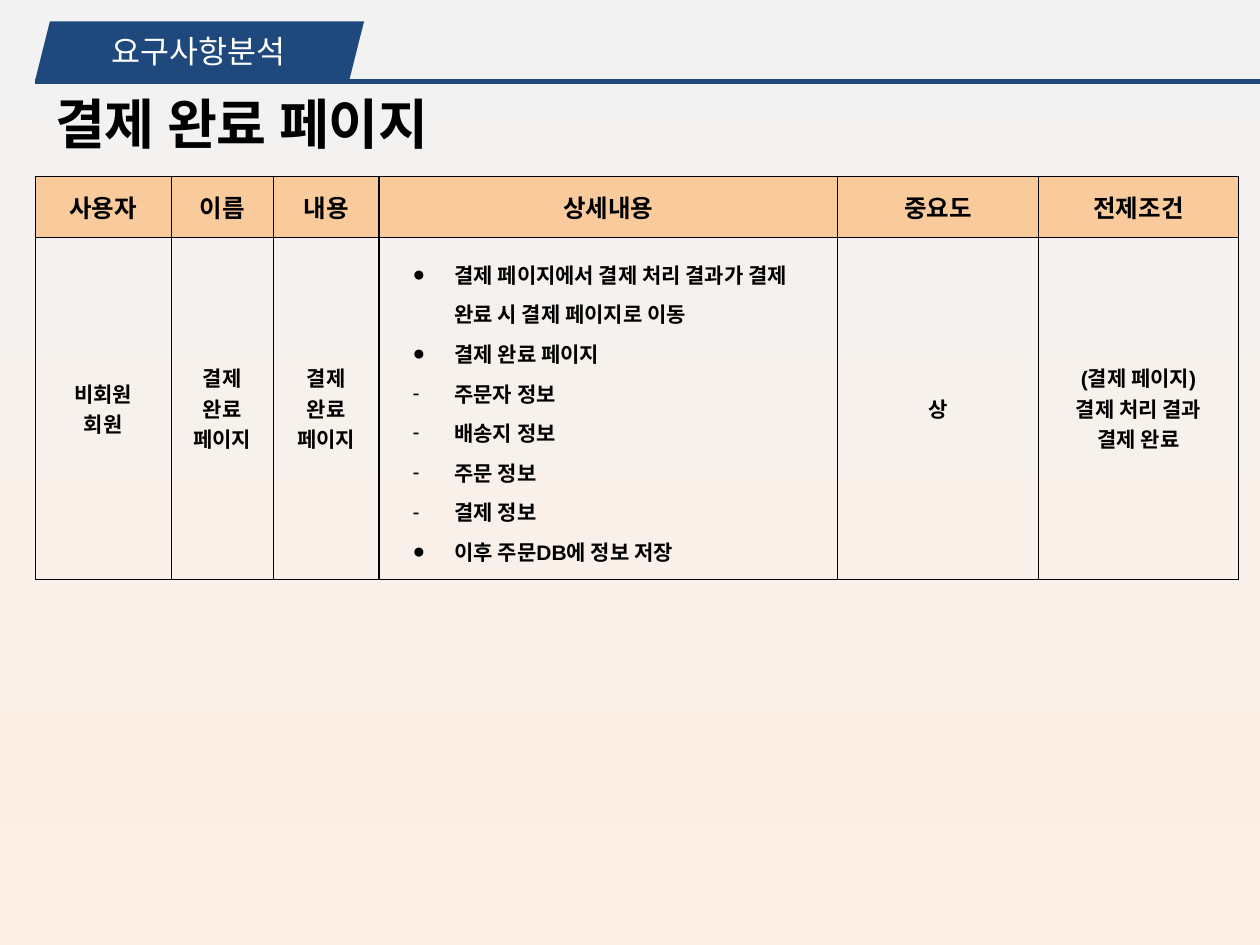
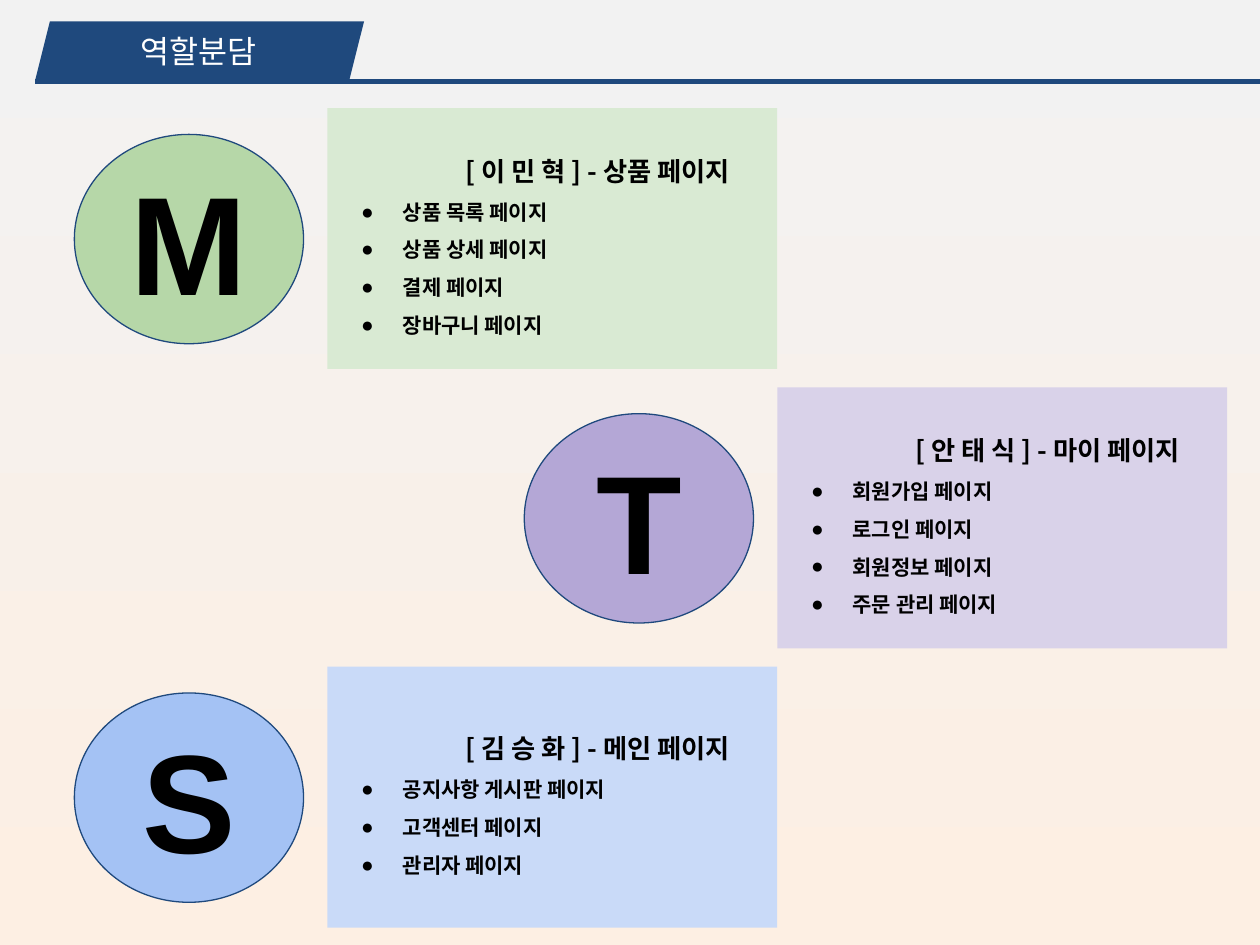
from dataclasses import dataclass

from lxml import etree
from pptx import Presentation
from pptx.dml.color import RGBColor
from pptx.enum.shapes import MSO_CONNECTOR, MSO_SHAPE
from pptx.enum.text import MSO_ANCHOR, MSO_AUTO_SIZE, PP_ALIGN
from pptx.oxml.ns import qn
from pptx.util import Cm, Pt

LEFT, CENTER = PP_ALIGN.LEFT, PP_ALIGN.CENTER
TOP, MIDDLE = MSO_ANCHOR.TOP, MSO_ANCHOR.MIDDLE
RECTANGLE, OVAL, PARALLELOGRAM = MSO_SHAPE.RECTANGLE, MSO_SHAPE.OVAL, MSO_SHAPE.PARALLELOGRAM
STRAIGHT, NO_AUTOFIT = MSO_CONNECTOR.STRAIGHT, MSO_AUTO_SIZE.NONE


@dataclass
class Theme:
    latin: str = "Arial"
    korean: str = "Noto Sans CJK KR"
    navy: str = "1F497D"
    black: str = "000000"
    white: str = "FFFFFF"
    header: str = "F9CB9C"
    sky: str = "F2F2F2"
    ground: str = "FDEFE3"
    section: int = 18
    heading: int = 31
    column: int = 14
    name: int = 15
    body: int = 12
    initial: int = 80


theme = Theme()


def write(frame, lines, size, align=LEFT, color=theme.black, bold=True,
          latin=theme.latin, spacing=None, indent=0):
    """Append paragraphs; a line is a text, or a (bullet, text) pair."""
    for line in lines:
        bullet, text = line if isinstance(line, tuple) else (None, line)
        last = frame.paragraphs[-1]
        paragraph = frame.add_paragraph() if last.runs else last
        paragraph.alignment = align
        if spacing:
            paragraph.line_spacing = spacing
        props = paragraph._p.get_or_add_pPr()
        if bullet:
            props.set("marL", str(Cm(1.27)))
            props.set("indent", str(Cm(-0.84)))
            tint = etree.SubElement(props, qn("a:buClr"))
            etree.SubElement(tint, qn("a:srgbClr"), val=theme.black)
            etree.SubElement(props, qn("a:buFont"), typeface=theme.latin)
            etree.SubElement(props, qn("a:buChar"), char=bullet)
        elif indent:
            props.set("marL", str(Cm(indent)))
            props.set("indent", "0")
        run = paragraph.add_run()
        run.text = text
        font = run.font
        font.name, font.size, font.bold = latin, Pt(size), bold
        font.color.rgb = RGBColor.from_string(color)
        font_props = run._r.get_or_add_rPr()
        etree.SubElement(font_props, qn("a:ea"), typeface=theme.korean)


def draw(slide, kind, left, top, width, height, fill, outline=None):
    """Add a flat shape, its text centred vertically."""
    shape = slide.shapes.add_shape(kind, Cm(left), Cm(top), Cm(width), Cm(height))
    shape.shadow.inherit = False
    shape.fill.solid()
    shape.fill.fore_color.rgb = RGBColor.from_string(fill)
    if outline:
        shape.line.color.rgb = RGBColor.from_string(outline)
        shape.line.width = Pt(0.75)
    else:
        shape.line.fill.background()
    shape.text_frame.vertical_anchor = MIDDLE
    return shape


deck = Presentation()
deck.slide_width, deck.slide_height = Cm(25.4), Cm(19.05)
title_only = deck.slide_layouts[5]
margin = 0.71

# Shared background, rule, band and section title
pages = []
for section in ("요구사항분석", "역할분담"):
    page = deck.slides.add_slide(title_only)
    backdrop = page.background.fill
    backdrop.gradient()
    backdrop.gradient_angle = 270
    for stop, color in zip(backdrop.gradient_stops, (theme.sky, theme.ground)):
        stop.color.rgb = RGBColor.from_string(color)

    rule = page.shapes.add_connector(STRAIGHT, Cm(25.4), Cm(1.65), Cm(margin), Cm(1.65))
    rule.line.color.rgb = RGBColor.from_string(theme.navy)
    rule.line.width = Pt(3)
    etree.SubElement(rule._element.spPr, qn("a:effectLst"))
    draw(page, PARALLELOGRAM, margin, 0.43, 6.63, 1.19, theme.navy)

    title = page.shapes.title
    title.left, title.top, title.width, title.height = Cm(0.86), Cm(0.33), Cm(6.3), Cm(1.4)
    title.text_frame.auto_size = NO_AUTOFIT
    title.text_frame.vertical_anchor = MIDDLE
    write(title.text_frame, [section], theme.section, CENTER, theme.white, bold=False)
    page.shapes.element.append(title.element)  # in front of the band
    pages.append(page)
requirements, roles = pages

# Requirements: page heading
heading = requirements.shapes.add_textbox(Cm(0.86), Cm(1.7), Cm(8.79), Cm(1.57))
heading.text_frame.word_wrap = True
write(heading.text_frame, ["결제 완료 페이지"], theme.heading)

# Requirements: table
columns = [
    ("사용자", 2.74, ["비회원", "회원"]),
    ("이름", 2.06, ["결제", "완료", "페이지"]),
    ("내용", 2.13, ["결제", "완료", "페이지"]),
    ("상세내용", 9.25, [
        ("●", "결제 페이지에서 결제 처리 결과가 결제 완료 시 결제 페이지로 이동"),
        ("●", "결제 완료 페이지"),
        ("-", "주문자 정보"),
        ("-", "배송지 정보"),
        ("-", "주문 정보"),
        ("-", "결제 정보"),
        ("●", "이후 주문DB에 정보 저장"),
    ]),
    ("중요도", 4.04, ["상"]),
    ("전제조건", 4.04, ["(결제 페이지)", "결제 처리 결과", "결제 완료"]),
]
table_width = sum(width for _, width, _ in columns)
table = requirements.shapes.add_table(
    2, len(columns), Cm(margin), Cm(3.56), Cm(table_width), Cm(8.12)).table
table.first_row = table.horz_banding = False
table.rows[0].height, table.rows[1].height = Cm(1.22), Cm(6.9)
for index, (label, width, details) in enumerate(columns):
    table.columns[index].width = Cm(width)
    label_cell, detail_cell = table.cell(0, index), table.cell(1, index)
    label_cell.fill.solid()
    label_cell.fill.fore_color.rgb = RGBColor.from_string(theme.header)
    label_cell.vertical_anchor = TOP
    write(label_cell.text_frame, [label], theme.column, CENTER)

    detail_cell.fill.background()
    detail_cell.vertical_anchor = MIDDLE
    bulleted = isinstance(details[0], tuple)
    write(detail_cell.text_frame, details, theme.body,
          LEFT if bulleted else CENTER, spacing=1.3 if bulleted else None)

    for cell in (label_cell, detail_cell):
        cell.margin_left = cell.margin_right = Cm(0.25)
        cell.margin_top = cell.margin_bottom = Cm(0.25)
        cell_props = cell._tc.get_or_add_tcPr()
        for position, side in enumerate(("lnL", "lnR", "lnT", "lnB")):
            border = etree.Element(qn(f"a:{side}"), w=str(Pt(0.75)))
            ink = etree.SubElement(border, qn("a:solidFill"))
            etree.SubElement(ink, qn("a:srgbClr"), val=theme.black)
            cell_props.insert(position, border)

# Roles: one card and initial per member, alternating between two columns
card_left, card_top, card_width, card_height, card_pitch = 6.6, 2.18, 9.07, 5.26, 5.63
members = [
    ("M", "[ 이 민 혁 ] - 상품 페이지", "D9EAD3", "B6D7A8",
     ["상품 목록 페이지", "상품 상세 페이지", "결제 페이지", "장바구니 페이지"]),
    ("T", "[ 안 태 식 ] - 마이 페이지", "D9D2E9", "B4A7D6",
     ["회원가입 페이지", "로그인 페이지", "회원정보 페이지", "주문 관리 페이지"]),
    ("S", "[ 김 승 화 ] - 메인 페이지", "C9DAF8", "A4C2F4",
     ["공지사항 게시판 페이지", "고객센터 페이지", "관리자 페이지"]),
]
for index, (initial, duty, pale, deep, tasks) in enumerate(members):
    left = card_left + index % 2 * card_width
    top = card_top + index * card_pitch
    card = draw(roles, RECTANGLE, left, top, card_width, card_height, pale)
    write(card.text_frame, [duty], theme.name, latin=theme.korean, spacing=1.5, indent=2.54)
    write(card.text_frame, [("●", task) for task in tasks], theme.body,
          latin=theme.korean, spacing=1.5)

    badge = draw(roles, OVAL, left - 5.1, top + 0.53, 4.62, 4.22, deep, theme.navy)
    badge.text_frame.margin_top = badge.text_frame.margin_bottom = Cm(0.25)
    write(badge.text_frame, [initial], theme.initial, CENTER)

deck.save("out.pptx")
